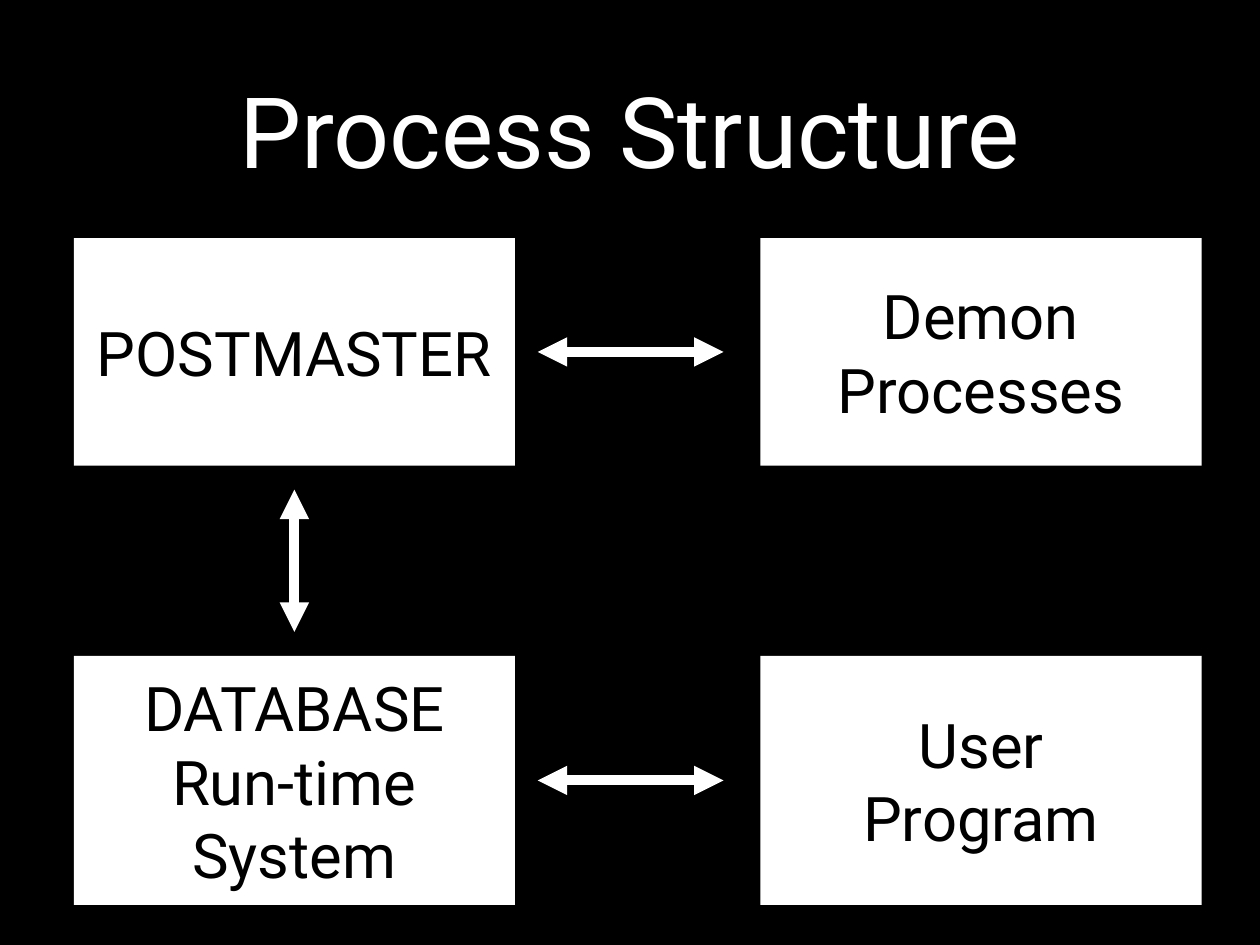
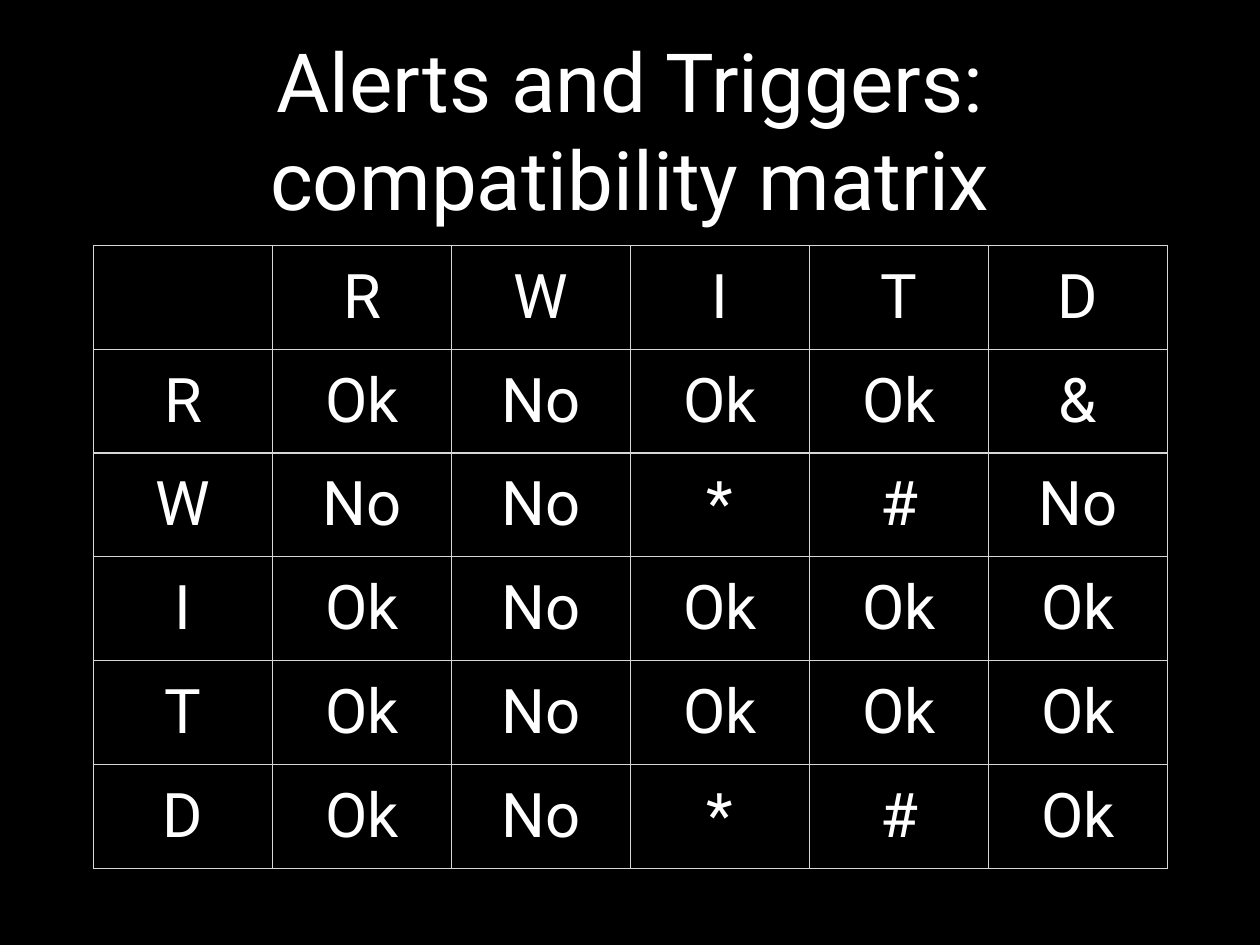
from lxml import etree
from pptx import Presentation
from pptx.dml.color import RGBColor
from pptx.enum import shapes, text
from pptx.oxml.ns import qn
from pptx.util import Pt

# Shared style
FONT = "Roboto"
BLACK, WHITE, GRID = "000000", "FFFFFF", "D6D7D6"
BODY_SIZE = 50
INSET = 4
TITLE_BOX = (75, 20, 874, 170)


def color(value):
    return RGBColor.from_string(value)


def fill_with(target, value):
    target.fill.solid()
    target.fill.fore_color.rgb = color(value)


def add_child(parent, tag, **attributes):
    return etree.SubElement(parent, qn(tag), attributes)


def style_text(frame, size, ink):
    for para in frame.paragraphs:
        para.alignment = text.PP_ALIGN.CENTER
        for span in para.runs:
            span.font.name = FONT
            span.font.size = Pt(size)
            span.font.color.rgb = color(ink)


def write(frame, words, size, ink):
    frame.text = words
    frame.word_wrap = True
    frame.vertical_anchor = text.MSO_ANCHOR.MIDDLE
    frame.margin_left = frame.margin_right = Pt(INSET)
    frame.margin_top = frame.margin_bottom = Pt(INSET)
    style_text(frame, size, ink)


def add_page(deck, title, size):
    page = deck.slides.add_slide(deck.slide_layouts[6])
    fill_with(page.background, BLACK)
    title_box = page.shapes.add_textbox(*map(Pt, TITLE_BOX))
    write(title_box.text_frame, title, size, WHITE)
    return page


def add_process(page, box, words):
    process = page.shapes.add_shape(shapes.MSO_SHAPE.RECTANGLE, *map(Pt, box))
    process.shadow.inherit = False
    fill_with(process, WHITE)
    process.line.fill.background()
    write(process.text_frame, words, BODY_SIZE, BLACK)


def add_double_arrow(page, *ends):
    arrow = page.shapes.add_connector(shapes.MSO_CONNECTOR.STRAIGHT, *map(Pt, ends))
    arrow.line.color.rgb = color(WHITE)
    arrow.line.width = Pt(8)
    line = arrow.line._get_or_add_ln()
    for end in ("a:headEnd", "a:tailEnd"):
        add_child(line, end, type="triangle")
    add_child(arrow._element.spPr, "a:effectLst")


def draw_processes(page, box, labels):
    """Two rows of two processes, joined across each row and down the left."""
    left, top, width, height = box
    process_width = 358.5
    row_heights = (185, 202.5)
    tops = (top, top + height - row_heights[1])
    right = left + width - process_width

    for row_top, row_height, row_labels in zip(tops, row_heights, labels):
        for process_left, label in zip((left, right), row_labels):
            add_process(page, (process_left, row_top, process_width, row_height), label)
        middle = row_top + row_height / 2
        add_double_arrow(page, left + process_width + 18.5, middle, right - 30, middle)

    center = left + process_width / 2
    add_double_arrow(page, center, tops[0] + row_heights[0] + 19.5,
                     center, tops[1] - 19.5)


def add_borders(cell):
    properties = cell._tc.get_or_add_tcPr()
    for position, side in enumerate(("a:lnL", "a:lnR", "a:lnT", "a:lnB")):
        border = etree.Element(qn(side), w=str(Pt(1)))
        fill = add_child(border, "a:solidFill")
        add_child(fill, "a:srgbClr", val=GRID)
        properties.insert(position, border)


def draw_matrix(page, box, rows):
    frame = page.shapes.add_table(len(rows), len(rows[0]), *map(Pt, box))
    table = frame.table
    table.first_row = table.horz_banding = False
    for row, values in zip(table.rows, rows):
        for cell, value in zip(row.cells, values):
            cell.fill.background()
            add_borders(cell)
            cell.text = value
            cell.vertical_anchor = text.MSO_ANCHOR.MIDDLE
            cell.margin_left = cell.margin_right = Pt(INSET)
            cell.margin_top = cell.margin_bottom = Pt(INSET)
            style_text(cell.text_frame, BODY_SIZE, WHITE)


deck = Presentation()
deck.slide_width, deck.slide_height = Pt(1024), Pt(768)

# Process structure
page = add_page(deck, "Process Structure", 80)
draw_processes(page, (60, 193.5, 916.5, 542), [
    ("POSTMASTER", "Demon Processes"),
    ("DATABASE\nRun-time\nSystem", "User\nProgram"),
])

# Compatibility matrix
page = add_page(deck, "Alerts and Triggers: compatibility matrix", 66.4)
draw_matrix(page, (76, 199.5, 873, 506), [
    ["", "R", "W", "I", "T", "D"],
    ["R", "Ok", "No", "Ok", "Ok", "&"],
    ["W", "No", "No", "*", "#", "No"],
    ["I", "Ok", "No", "Ok", "Ok", "Ok"],
    ["T", "Ok", "No", "Ok", "Ok", "Ok"],
    ["D", "Ok", "No", "*", "#", "Ok"],
])

deck.save("out.pptx")
